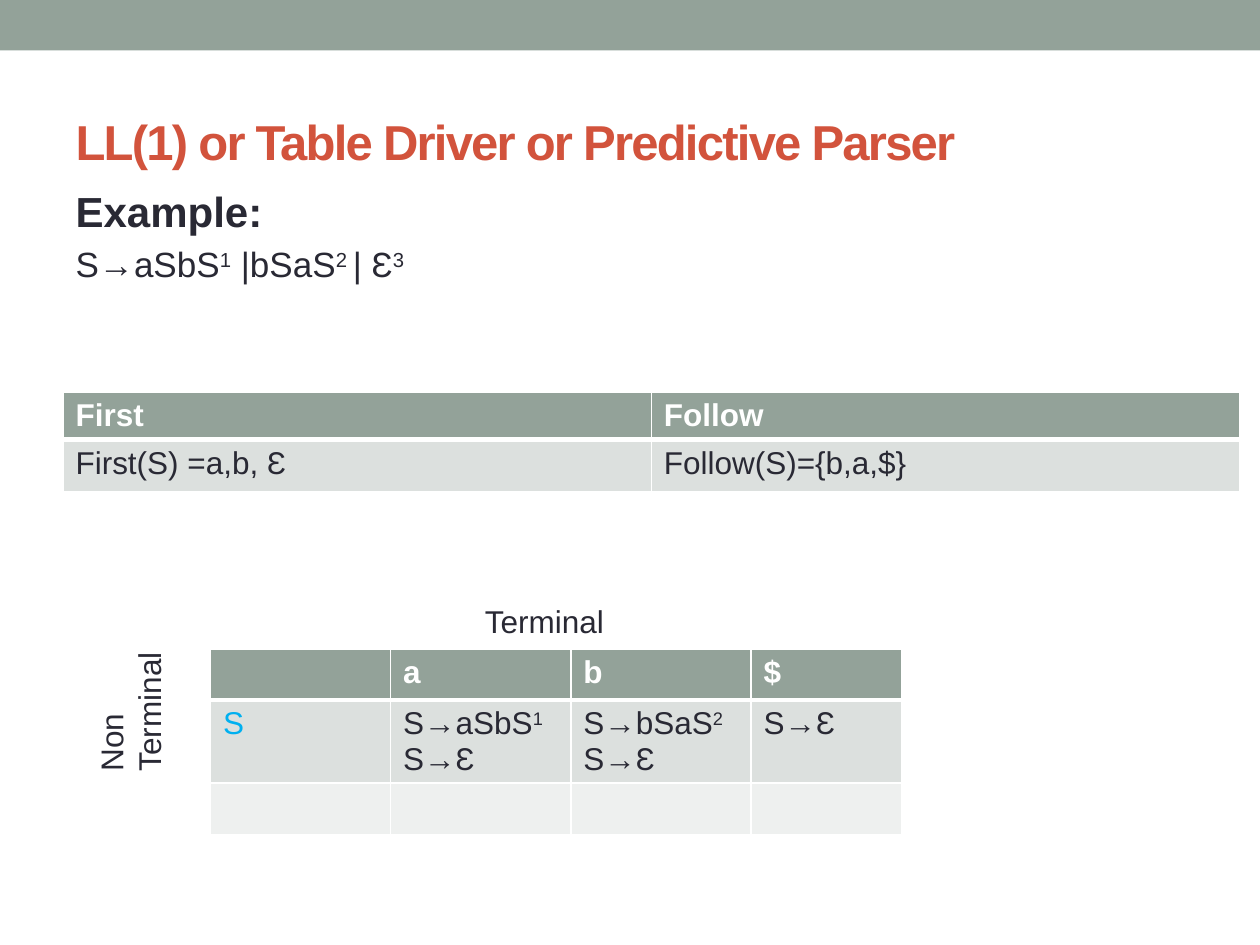
from lxml.etree import SubElement
from pptx import Presentation
from pptx.dml.color import RGBColor
from pptx.enum.shapes import MSO_SHAPE
from pptx.enum.text import MSO_ANCHOR, MSO_AUTO_SIZE, PP_ALIGN
from pptx.oxml.ns import qn
from pptx.util import Inches, Pt

COLORS = {
    "sage": "93A299",
    "band_dark": "DCE0DE",
    "band_light": "EEF0EF",
    "rust": "D2533C",
    "ink": "292934",
    "blue": "00B0F0",
    "white": "FFFFFF",
}
FONT = "Arial"


def color(name):
    return RGBColor.from_string(COLORS[name])


def write(paragraph, text, size=18, tint="ink", bold=False, spacing=None, before=None):
    """Fill a paragraph; parts of the text between ^ marks are superscript."""
    paragraph.alignment = PP_ALIGN.LEFT
    if before is not None:
        paragraph.space_before = Pt(before)
    for index, part in enumerate(text.split("^")):
        if not part:
            continue
        run = paragraph.add_run()
        run.text = part
        run.font.name = FONT
        run.font.size = Pt(size)
        run.font.bold = bold
        run.font.color.rgb = color(tint)
        properties = run.font._element
        if index % 2:
            properties.set("baseline", "30000")
        if spacing is not None:
            properties.set("spc", str(int(spacing * 100)))


def write_lines(text_frame, lines, **style):
    for index, line in enumerate(lines):
        paragraph = text_frame.paragraphs[0] if index == 0 else text_frame.add_paragraph()
        write(paragraph, line, **style)


def place(shape, left, top, width, height):
    shape.left, shape.top = Inches(left), Inches(top)
    shape.width, shape.height = Inches(width), Inches(height)


def add_band(slide, width, height):
    band = slide.shapes.add_shape(MSO_SHAPE.RECTANGLE, 0, 0, Inches(width), Inches(height))
    band.shadow.inherit = False
    band.fill.solid()
    band.fill.fore_color.rgb = color("sage")
    band.line.fill.background()


def fill_title(title, text):
    place(title, 0.5, 0.58, 9, 1.08)
    title.text_frame.auto_size = MSO_AUTO_SIZE.NONE
    title.text_frame.vertical_anchor = MSO_ANCHOR.MIDDLE
    write(title.text_frame.paragraphs[0], text, size=28, tint="rust", bold=True, spacing=-1)


def fill_body(body, heading, grammar):
    place(body, 0.5, 1.42, 9, 5.33)
    text_frame = body.text_frame
    text_frame.auto_size = MSO_AUTO_SIZE.NONE
    paragraphs = [text_frame.paragraphs[0], text_frame.add_paragraph()]
    for paragraph in paragraphs:
        properties = paragraph._p.get_or_add_pPr()
        properties.set("marL", "0")
        properties.set("indent", "0")
        SubElement(properties, qn("a:buNone"))
    write(paragraphs[0], heading, size=24, bold=True, before=0)
    write(paragraphs[1], grammar, size=20, before=4)


def add_label(slide, lines, left, top, width, height, vertical=None):
    box = slide.shapes.add_textbox(Inches(left), Inches(top), Inches(width), Inches(height))
    box.text_frame.word_wrap = True
    if vertical:
        box.text_frame._txBody.bodyPr.set("vert", vertical)
    write_lines(box.text_frame, lines)


def set_borders(cell, **widths):
    properties = cell._tc.get_or_add_tcPr()
    for side in ("L", "R", "T", "B"):
        line = SubElement(properties, qn(f"a:ln{side}"), w=str(Pt(widths.get(side, 1))))
        fill = SubElement(line, qn("a:solidFill"))
        SubElement(fill, qn("a:srgbClr"), val=COLORS["white"])


def add_grid(slide, left, top, columns, rows, content, tints=None):
    """Add a table; content holds lists of lines, tints overrides text colours."""
    tints = tints or {}
    frame = slide.shapes.add_table(
        len(rows), len(columns), Inches(left), Inches(top),
        Inches(sum(columns)), Inches(sum(rows)))
    table = frame.table
    for column, width in zip(table.columns, columns):
        column.width = Inches(width)
    for row, height in zip(table.rows, rows):
        row.height = Inches(height)
    fills = ("sage", "band_dark", "band_light")
    for row_index, row in enumerate(content):
        header = row_index == 0
        for column_index, lines in enumerate(row):
            cell = table.cell(row_index, column_index)
            # The rule under the header is thicker
            set_borders(cell, B=3 if header else 1, T=3 if row_index == 1 else 1)
            cell.fill.solid()
            cell.fill.fore_color.rgb = color(fills[row_index])
            tint = tints.get((row_index, column_index), "white" if header else "ink")
            write_lines(cell.text_frame, lines, tint=tint, bold=header)


def main():
    presentation = Presentation()
    presentation.slide_width, presentation.slide_height = Inches(10), Inches(7.5)
    slide = presentation.slides.add_slide(presentation.slide_layouts[1])

    # Heading and grammar
    add_band(slide, 10, 0.4)
    fill_title(slide.shapes.title, "LL(1) or Table Driver or Predictive Parser")
    fill_body(slide.placeholders[1], "Example:", "S→aSbS^1^ |bSaS^2 ^| Ɛ^3")

    # Parsing table
    add_grid(slide, 1.67, 5.15, [1.43, 1.43, 1.43, 1.2], [0.4, 0.66, 0.4], [
        [[], ["a"], ["b"], ["$"]],
        [["S"], ["S→aSbS^1", "S→Ɛ"], ["S→bSaS^2", "S→Ɛ"], ["S→Ɛ"]],
        [[], [], [], []],
    ], tints={(1, 0): "blue"})

    # First and follow sets
    add_grid(slide, 0.5, 3.11, [4.67, 4.67], [0.37, 0.41], [
        [["First"], ["Follow"]],
        [["First(S) =a,b, Ɛ"], ["Follow(S)={b,a,$}"]],
    ])

    # Axis labels of the parsing table
    add_label(slide, ["Non", "Terminal"], 0.68, 4.45, 0.81, 1.77, vertical="vert270")
    add_label(slide, ["Terminal"], 3.75, 4.73, 2.17, 0.4)

    presentation.save("out.pptx")


if __name__ == "__main__":
    main()
